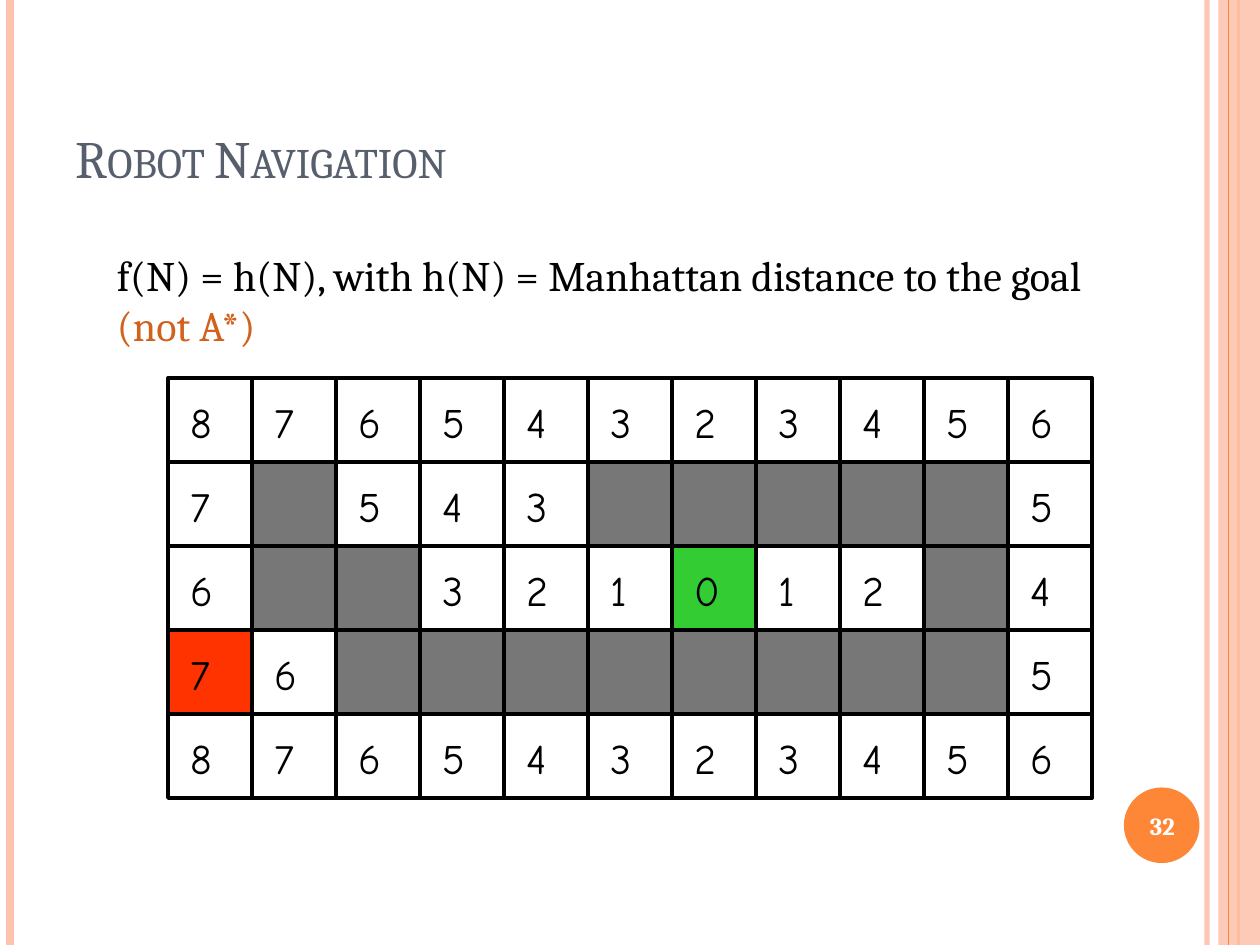
from lxml import etree
from pptx import Presentation
from pptx import util as u
from pptx.dml.color import RGBColor
from pptx.enum import shapes, text
from pptx.oxml.ns import qn

ORANGE = RGBColor(0xFE, 0x86, 0x37)
PEACH = RGBColor(0xFE, 0xC3, 0xAE)
RUST = RGBColor(0xD2, 0x61, 0x1C)
SLATE = RGBColor(0x57, 0x5F, 0x6D)
WALL = RGBColor(0x77, 0x77, 0x77)
START = RGBColor(0xFF, 0x33, 0x00)
GOAL = RGBColor(0x33, 0xCC, 0x33)
BLACK = RGBColor(0, 0, 0)
WHITE = RGBColor(0xFF, 0xFF, 0xFF)

SERIF, HAND = "Cambria", "Comic Neue"

# Manhattan distances to the goal; "#" is a wall
MAZE = ["87654323456",
        "7#543#####5",
        "6##321012#4",
        "76########5",
        "87654323456"]
START_CELL, GOAL_CELL = (3, 0), (2, 6)
LEFT, TOP, CELL = 4 / 3, 3, 2 / 3
RIGHT, BOTTOM = LEFT + CELL * len(MAZE[0]), TOP + CELL * len(MAZE)
GRID_WIDTH = 2.25


def set_alpha(element, percent):
    color = element.find(".//" + qn("a:srgbClr"))
    etree.SubElement(color, qn("a:alpha")).set("val", str(percent * 1000))


def add_line(s, x1, y1, x2, y2, color, width, alpha=None):
    line = s.shapes.add_connector(shapes.MSO_CONNECTOR.STRAIGHT, u.Inches(x1),
                                  u.Inches(y1), u.Inches(x2), u.Inches(y2))
    line.line.color.rgb = color
    line.line.width = u.Pt(width)
    if alpha:
        set_alpha(line.line._ln, alpha)
    etree.SubElement(line._element.spPr, qn("a:effectLst"))


def add_box(s, kind, x, y, w, h, fill=None, line=None):
    sp = s.shapes.add_shape(kind, u.Inches(x), u.Inches(y), u.Inches(w), u.Inches(h))
    sp.shadow.inherit = False
    if fill is None:
        sp.fill.background()
    else:
        sp.fill.solid()
        sp.fill.fore_color.rgb = fill
    if line is None:
        sp.line.fill.background()
    else:
        sp.line.color.rgb = line
        sp.line.width = u.Pt(GRID_WIDTH)
    return sp


def add_text(s, x, y, w, h, anchor=text.MSO_ANCHOR.TOP, wrap=False):
    tf = s.shapes.add_textbox(u.Inches(x), u.Inches(y), u.Inches(w), u.Inches(h)).text_frame
    tf.word_wrap = wrap
    tf.vertical_anchor = anchor
    return tf.paragraphs[0]


def add_run(p, words, size, color, font=SERIF, bold=False):
    r = p.add_run()
    r.text = words
    r.font.name, r.font.size, r.font.bold = font, u.Pt(size), bold
    r.font.color.rgb = color
    return r


def add_side_bands(s, height):
    for x, color, width, alpha in [(9.58, PEACH, 3, 93), (0.08, PEACH, 4.5, None),
                                   (9.83, ORANGE, 1.5, None)]:
        add_line(s, x, 0, x, height, color, width, alpha)
    band = add_box(s, shapes.MSO_SHAPE.RECTANGLE, 9.67, 0, 0.33, height, PEACH)
    set_alpha(band._element.spPr, 87)
    add_line(s, 9.75, 0, 9.75, height, ORANGE, 0.75)


def add_page_number(s, number):
    add_box(s, shapes.MSO_SHAPE.OVAL, 8.92, 6.25, 0.6, 0.6, ORANGE)
    p = add_text(s, 8.89, 6.27, 0.67, 0.57, text.MSO_ANCHOR.MIDDLE, wrap=True)
    p.alignment = text.PP_ALIGN.CENTER
    add_run(p, number, 14, WHITE, bold=True)


def add_maze(s):
    # Frame and grid lines
    add_box(s, shapes.MSO_SHAPE.RECTANGLE, LEFT, TOP, RIGHT - LEFT, BOTTOM - TOP, line=BLACK)
    for col in range(1, len(MAZE[0])):
        x = LEFT + col * CELL
        add_line(s, x, TOP, x, BOTTOM, BLACK, GRID_WIDTH)
    for row in range(1, len(MAZE)):
        y = TOP + row * CELL
        add_line(s, LEFT, y, RIGHT, y, BLACK, GRID_WIDTH)

    # Walls, start, goal and distances
    special = {START_CELL: START, GOAL_CELL: GOAL}
    for row, marks in enumerate(MAZE):
        for col, mark in enumerate(marks):
            x, y = LEFT + col * CELL, TOP + row * CELL
            fill = WALL if mark == "#" else special.get((row, col))
            if fill is not None:
                add_box(s, shapes.MSO_SHAPE.RECTANGLE, x, y, CELL, CELL, fill, BLACK)
            if mark != "#":
                p = add_text(s, x + 0.08, y + 0.1, 0.35 if mark == "1" else 0.4, 0.5)
                add_run(p, mark, 24, BLACK, HAND)


def main():
    prs = Presentation()
    prs.slide_width, prs.slide_height = u.Inches(10), u.Inches(7.5)
    s = prs.slides.add_slide(prs.slide_layouts[6])

    add_side_bands(s, 7.5)

    # Title
    p = add_text(s, 0.5, 0.3, 8.17, 1.25, text.MSO_ANCHOR.BOTTOM, wrap=True)
    title = add_run(p, "Robot Navigation", 30, SLATE)
    title.font._element.set("cap", "small")

    add_page_number(s, "32")
    add_maze(s)

    # Evaluation function
    p = add_text(s, 0.83, 1.93, 8.85, 0.91)
    add_run(p, "f(N) = h(N), with h(N) = Manhattan distance to the goal", 24, BLACK)
    p.add_line_break()
    add_run(p, "(not A*)", 24, RUST)

    prs.save("out.pptx")


if __name__ == "__main__":
    main()
